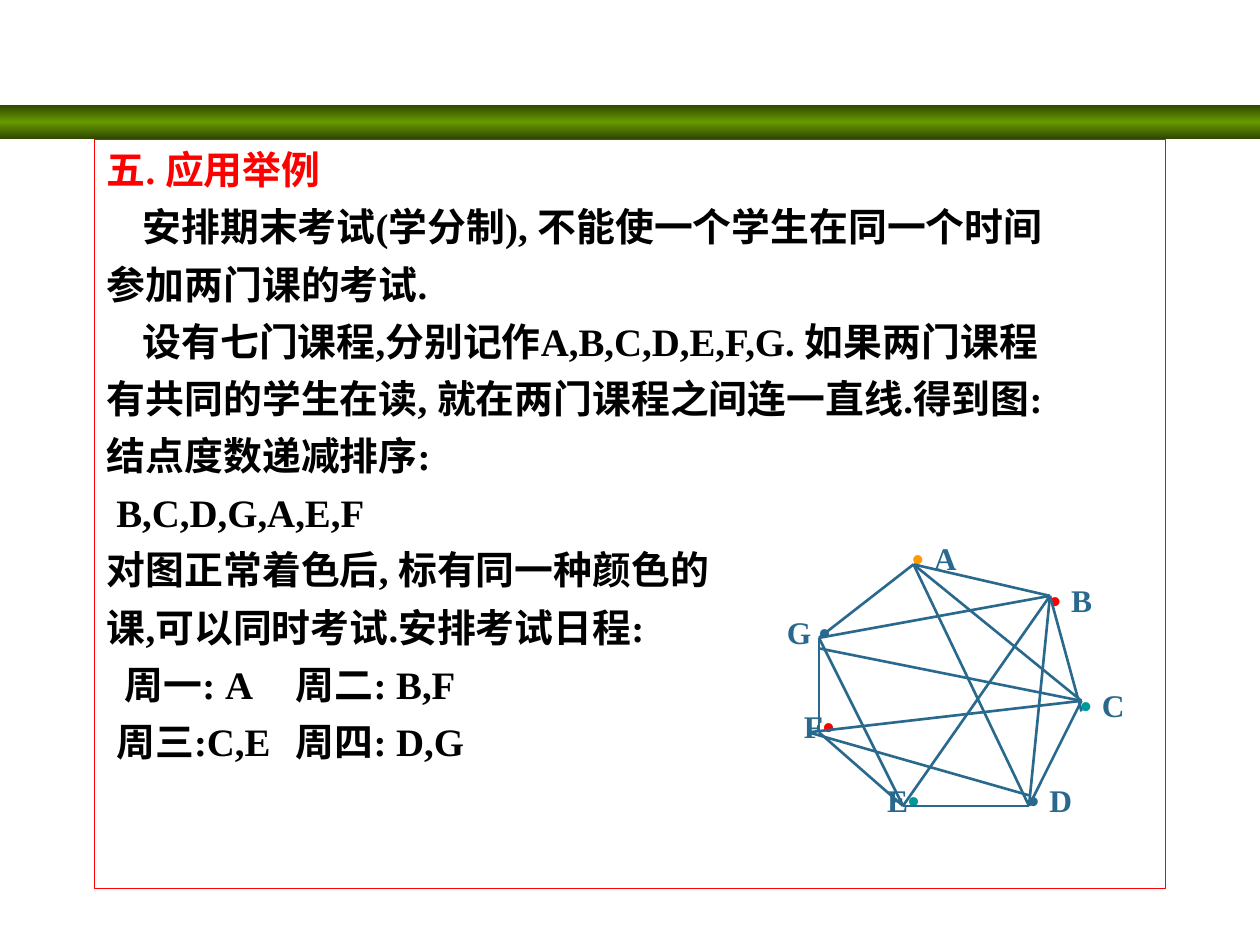
"""Build a slide that schedules exams by colouring a course graph."""
import copy
import dataclasses
import typing

import lxml.etree
import pptx
import pptx.dml.color
import pptx.enum.shapes
import pptx.enum.text
import pptx.oxml.ns
import pptx.util

COLS, ROWS = 120, 90
GRAPH_SHIFT = -0.25
TAB_STOP = 22.8
ALIGN = pptx.enum.text.PP_ALIGN
qn = pptx.oxml.ns.qn


@dataclasses.dataclass(frozen=True)
class Theme:
    latin: str = "Times New Roman"
    dot: str = "Arial"
    ink: str = "000000"
    red: str = "FF0000"
    blue: str = "29698D"
    teal: str = "009999"
    orange: str = "FF9900"
    band_edge: str = "2F4700"
    band_mid: str = "669900"
    body_size: float = 22.2
    label_size: float = 18
    gap_size: float = 24
    frame_width: float = 0.75
    edge_width: float = 1.5


THEME = Theme()


class Line(typing.NamedTuple):
    text: str
    indent: float = 0
    color: str = THEME.ink


class Node(typing.NamedTuple):
    name: str
    col: float
    row: float
    color: str
    gap: str = ""
    dot_first: bool = False


class Edge(typing.NamedTuple):
    x1: float
    y1: float
    x2: float
    y2: float


LINES = [
    Line("五. 应用举例", color=THEME.red),
    Line("安排期末考试(学分制), 不能使一个学生在同一个时间", 3.4),
    Line("参加两门课的考试."),
    Line("设有七门课程,分别记作A,B,C,D,E,F,G. 如果两门课程", 3.4),
    Line("有共同的学生在读, 就在两门课程之间连一直线.得到图:"),
    Line("结点度数递减排序:"),
    Line("B,C,D,G,A,E,F", 0.9),
    Line("对图正常着色后, 标有同一种颜色的"),
    Line("课,可以同时考试.安排考试日程:"),
    Line("周一: A\t周二: B,F", 1.7),
    Line("周三:C,E\t周四: D,G", 0.9),
]
NODES = [
    Node("G", 73, 58, THEME.blue, gap=" "),
    Node("F", 74, 67, THEME.red),
    Node("E", 82, 74, THEME.teal),
    Node("C", 101, 64, THEME.teal, " ", True),
    Node("B", 98, 54, THEME.red, " ", True),
    Node("D", 96, 73, THEME.blue, " ", True),
    Node("A", 85, 50, THEME.orange, " ", True),
]
EDGES = [
    Edge(87, 54, 78, 61), Edge(103, 68, 100, 57), Edge(78, 61, 78, 70), Edge(87, 54, 103, 67),
    Edge(100, 57, 86, 77), Edge(86, 77, 98, 77), Edge(103, 67, 98, 77), Edge(77, 70, 103, 67),
    Edge(78, 61, 86, 77), Edge(77, 70, 98, 76), Edge(78, 62, 103, 67), Edge(87, 54, 100, 57),
    Edge(87, 54, 98, 77), Edge(78, 70, 86, 77), Edge(78, 61, 100, 57), Edge(100, 57, 98, 77),
]


def cells(*values: float) -> list[int]:
    """Convert grid cells to lengths."""
    return [pptx.util.Inches(v * 10 / COLS) for v in values]


def rgb(color: str) -> pptx.dml.color.RGBColor:
    """Return a colour from its hex code."""
    return pptx.dml.color.RGBColor.from_string(color)


def add_run(p, text: str, size: float, color: str, font: str = THEME.latin) -> None:
    """Add one bold run to a paragraph."""
    r = p.add_run()
    r.text = text
    for key, value in {"name": font, "size": pptx.util.Pt(size), "bold": True}.items():
        setattr(r.font, key, value)
    r.font.color.rgb = rgb(color)


def draw_band(s) -> None:
    """Draw the gradient band across the slide."""
    sp = s.shapes.add_shape(pptx.enum.shapes.MSO_SHAPE.RECTANGLE, *cells(0, 10, COLS, 3.24))
    sp.shadow.inherit = False
    sp.line.fill.background()
    sp.fill.gradient()
    sp.fill.gradient_angle = 90
    first = next(sp._element.spPr.iter(qn("a:gs")))
    first.addnext(copy.deepcopy(first))
    colors = THEME.band_edge, THEME.band_mid, THEME.band_edge
    for i, (stop, color) in enumerate(zip(sp.fill.gradient_stops, colors)):
        stop.position = i / 2
        stop.color.rgb = rgb(color)


def draw_body(s, lines: list[Line]) -> None:
    """Draw the framed body text."""
    sp = s.shapes.add_textbox(*cells(9, 13.32, 102, 71.28))
    sp.line.color.rgb = rgb(THEME.red)
    sp.line.width = pptx.util.Pt(THEME.frame_width)
    tf = sp.text_frame
    tf.word_wrap = True
    for i, line in enumerate(lines):
        p = tf.add_paragraph() if i else tf.paragraphs[0]
        p.space_before = pptx.util.Pt(6 if i else 0)
        pPr = p._p.get_or_add_pPr()
        indent, stop = cells(line.indent, TAB_STOP)
        pPr.set("marL", "0")
        pPr.set("indent", str(indent))
        if "\t" in line.text:
            tabs = lxml.etree.SubElement(pPr, qn("a:tabLst"))
            lxml.etree.SubElement(tabs, qn("a:tab"), pos=str(stop), algn="l")
        add_run(p, line.text, THEME.body_size, line.color)


def draw_node(s, node: Node) -> None:
    """Draw a course letter with its coloured dot."""
    height = 6 if node.dot_first else 4.8
    sp = s.shapes.add_textbox(*cells(node.col, node.row + GRAPH_SHIFT, 8, height))
    sp.text_frame.word_wrap = True
    p = sp.text_frame.paragraphs[0]
    p.alignment = ALIGN.CENTER
    dot = "•", THEME.label_size, node.color, THEME.dot
    if node.dot_first:
        add_run(p, *dot)
        add_run(p, node.gap, THEME.gap_size, THEME.red)
        add_run(p, node.name, THEME.label_size, THEME.blue)
    else:
        add_run(p, node.name + node.gap, THEME.label_size, THEME.blue)
        add_run(p, *dot)


def draw_edge(s, edge: Edge) -> None:
    """Draw a line between two courses."""
    ends = cells(edge.x1, edge.y1 + GRAPH_SHIFT, edge.x2, edge.y2 + GRAPH_SHIFT)
    sp = s.shapes.add_connector(pptx.enum.shapes.MSO_CONNECTOR.STRAIGHT, *ends)
    sp.line.color.rgb = rgb(THEME.blue)
    sp.line.width = pptx.util.Pt(THEME.edge_width)
    lxml.etree.SubElement(sp._element.spPr, qn("a:effectLst"))


def main() -> None:
    """Build and save the slide."""
    prs = pptx.Presentation()
    prs.slide_width, prs.slide_height = cells(COLS, ROWS)
    s = prs.slides.add_slide(prs.slide_layouts[6])
    draw_band(s)
    draw_body(s, LINES)
    for node in NODES:
        draw_node(s, node)
    for edge in EDGES:
        draw_edge(s, edge)
    prs.save("out.pptx")


if __name__ == "__main__":
    main()
